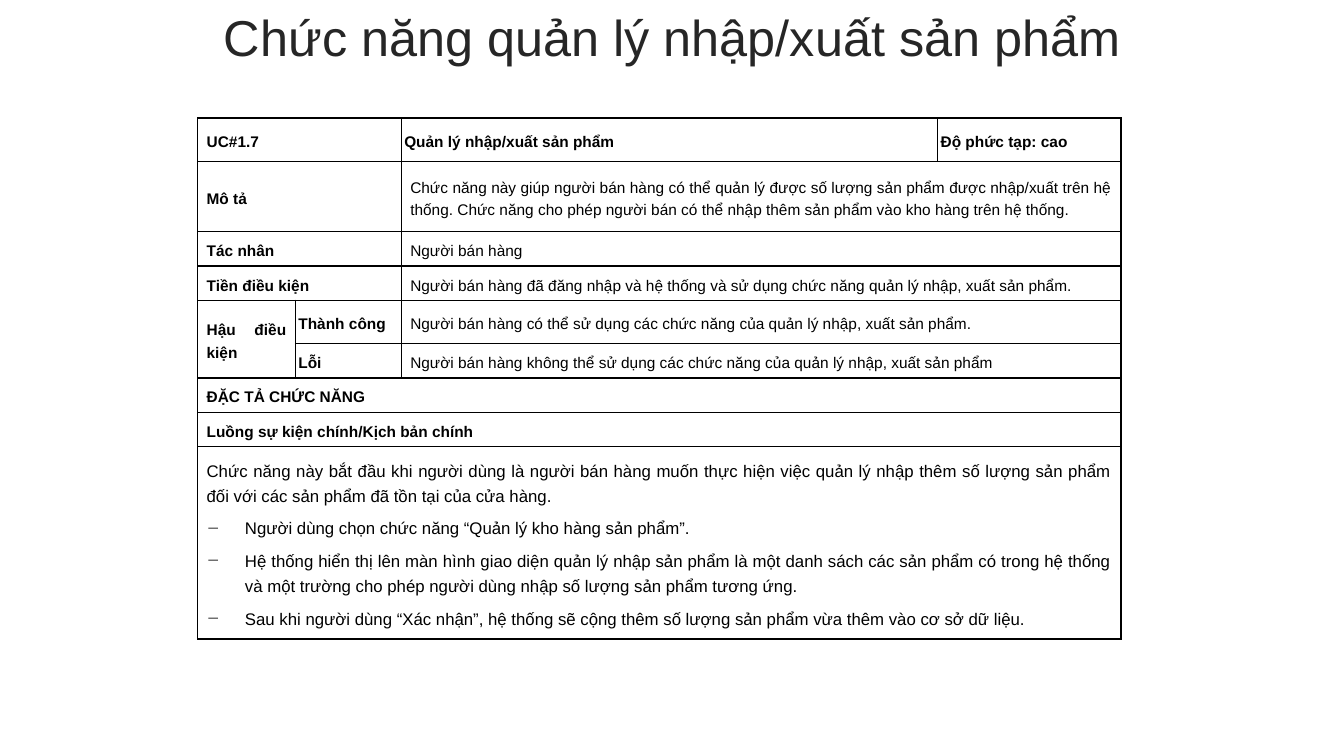
from dataclasses import dataclass

from lxml import etree
from pptx import Presentation
from pptx import util as u
from pptx.dml.color import RGBColor
from pptx.enum import text
from pptx.oxml import ns


@dataclass(frozen=True)
class Theme:
    font: str = "Arial"
    title_color: str = "262626"
    ink: str = "000000"
    title_size: float = 36
    row_size: float = 11
    flow_size: float = 12
    border: float = 1


@dataclass(frozen=True)
class Entry:
    row: int
    col: int
    lines: tuple[str, ...]
    rows: int = 1
    cols: int = 1
    bold: bool = False
    tight: bool = False
    size: float = Theme.row_size


THEME = Theme()
COLUMN_WIDTHS = (0.97, 1.05, 5.32, 1.82)
ROW_HEIGHTS = (0.43, 0.7, 0.34, 0.34, 0.43, 0.34, 0.34, 0.34, 1.91)
HANGING = 0.38


def label(row: int, wording: str) -> Entry:
    return Entry(row, 0, (wording,), cols=2, bold=True)


def detail(row: int, wording: str) -> Entry:
    return Entry(row, 2, (wording,), cols=2)


def short(row: int, col: int, wording: str) -> Entry:
    return Entry(row, col, (wording,), bold=True, tight=True)


def band(row: int, wording: str) -> Entry:
    return Entry(row, 0, (wording,), cols=4, bold=True)


USE_CASE = (
    label(0, "UC#1.7"),
    short(0, 2, "Quản lý nhập/xuất sản phẩm"),
    short(0, 3, "Độ phức tạp: cao"),
    label(1, "Mô tả"),
    detail(1, "Chức năng này giúp người bán hàng có thể quản lý được số lượng sản phẩm được "
              "nhập/xuất trên hệ thống. Chức năng cho phép người bán có thể nhập thêm sản phẩm "
              "vào kho hàng trên hệ thống."),
    label(2, "Tác nhân"),
    detail(2, "Người bán hàng"),
    label(3, "Tiền điều kiện"),
    detail(3, "Người bán hàng đã đăng nhập và hệ thống và sử dụng chức năng quản lý nhập, "
              "xuất sản phẩm."),
    Entry(4, 0, ("Hậu điều kiện",), rows=2, bold=True),
    short(4, 1, "Thành công"),
    detail(4, "Người bán hàng có thể sử dụng các chức năng của quản lý nhập, xuất sản phẩm."),
    short(5, 1, "Lỗi"),
    detail(5, "Người bán hàng không thể sử dụng các chức năng của quản lý nhập, xuất sản phẩm"),
    band(6, "ĐẶC TẢ CHỨC NĂNG"),
    band(7, "Luồng sự kiện chính/Kịch bản chính"),
    Entry(8, 0, (
        "Chức năng này bắt đầu khi người dùng là người bán hàng muốn thực hiện việc quản lý "
        "nhập thêm số lượng sản phẩm đối với các sản phẩm đã tồn tại của cửa hàng.",
        "Người dùng chọn chức năng “Quản lý kho hàng sản phẩm”.",
        "Hệ thống hiển thị lên màn hình giao diện quản lý nhập sản phẩm là một danh sách các "
        "sản phẩm có trong hệ thống và một trường cho phép người dùng nhập số lượng sản phẩm "
        "tương ứng.",
        "Sau khi người dùng “Xác nhận”, hệ thống sẽ cộng thêm số lượng sản phẩm vừa thêm vào "
        "cơ sở dữ liệu.",
    ), cols=4, size=THEME.flow_size),
)


def style_font(font, size: float, color: str, bold: bool = False) -> None:
    font.name, font.size, font.bold = THEME.font, u.Pt(size), bold
    font.color.rgb = RGBColor.from_string(color)


def add_dash(paragraph) -> None:
    properties = paragraph._p.get_or_add_pPr()
    properties.set("marL", str(u.Inches(HANGING)))
    properties.set("indent", str(-u.Inches(HANGING)))
    etree.SubElement(properties, ns.qn("a:buChar"), char="−")


def frame_cell(cell) -> None:
    properties = cell._tc.get_or_add_tcPr()
    for side in ("lnL", "lnR", "lnT", "lnB"):
        line = etree.SubElement(properties, ns.qn(f"a:{side}"), w=str(u.Pt(THEME.border)))
        fill = etree.SubElement(line, ns.qn("a:solidFill"))
        etree.SubElement(fill, ns.qn("a:srgbClr"), val=THEME.ink)
    cell.fill.background()


def fill_entry(table, entry: Entry) -> None:
    cell = table.cell(entry.row, entry.col)
    if entry.rows * entry.cols > 1:
        cell.merge(table.cell(entry.row + entry.rows - 1, entry.col + entry.cols - 1))
    cell.vertical_anchor = text.MSO_ANCHOR.MIDDLE
    cell.margin_left = cell.margin_right = u.Inches(0.03 if entry.tight else 0.09)
    cell.margin_top = cell.margin_bottom = u.Inches(0 if entry.tight else 0.04)
    cell.text_frame.text = "\n".join(entry.lines)
    for position, paragraph in enumerate(cell.text_frame.paragraphs):
        paragraph.alignment = text.PP_ALIGN.JUSTIFY
        paragraph.line_spacing = 1.3
        paragraph.space_before = paragraph.space_after = u.Pt(3)
        if position:
            add_dash(paragraph)
        style_font(paragraph.runs[0].font, entry.size, THEME.ink, entry.bold)


def add_title(slide) -> None:
    title = slide.shapes.add_textbox(u.Inches(0.34), 0, u.Inches(12.66), u.Inches(0.79))
    title.text_frame.word_wrap = True
    title.text_frame.vertical_anchor = text.MSO_ANCHOR.MIDDLE
    heading = title.text_frame.paragraphs[0]
    heading.text = "Chức năng quản lý nhập/xuất sản phẩm"
    heading.alignment = text.PP_ALIGN.CENTER
    heading.line_spacing = 0.9
    heading.space_before = u.Pt(10)
    style_font(heading.runs[0].font, THEME.title_size, THEME.title_color)


def add_use_case(slide) -> None:
    table = slide.shapes.add_table(
        len(ROW_HEIGHTS), len(COLUMN_WIDTHS), u.Inches(1.96), u.Inches(1.17),
        u.Inches(sum(COLUMN_WIDTHS)), u.Inches(sum(ROW_HEIGHTS))).table
    table.first_row = table.horz_banding = False
    for column, width in zip(table.columns, COLUMN_WIDTHS):
        column.width = u.Inches(width)
    for row, height in zip(table.rows, ROW_HEIGHTS):
        row.height = u.Inches(height)
    for cell in table.iter_cells():
        frame_cell(cell)
    for entry in USE_CASE:
        fill_entry(table, entry)


def main() -> None:
    deck = Presentation()
    deck.slide_width, deck.slide_height = u.Inches(13.33), u.Inches(7.5)
    slide = deck.slides.add_slide(deck.slide_layouts[6])
    add_title(slide)
    add_use_case(slide)
    deck.save("out.pptx")


if __name__ == "__main__":
    main()
